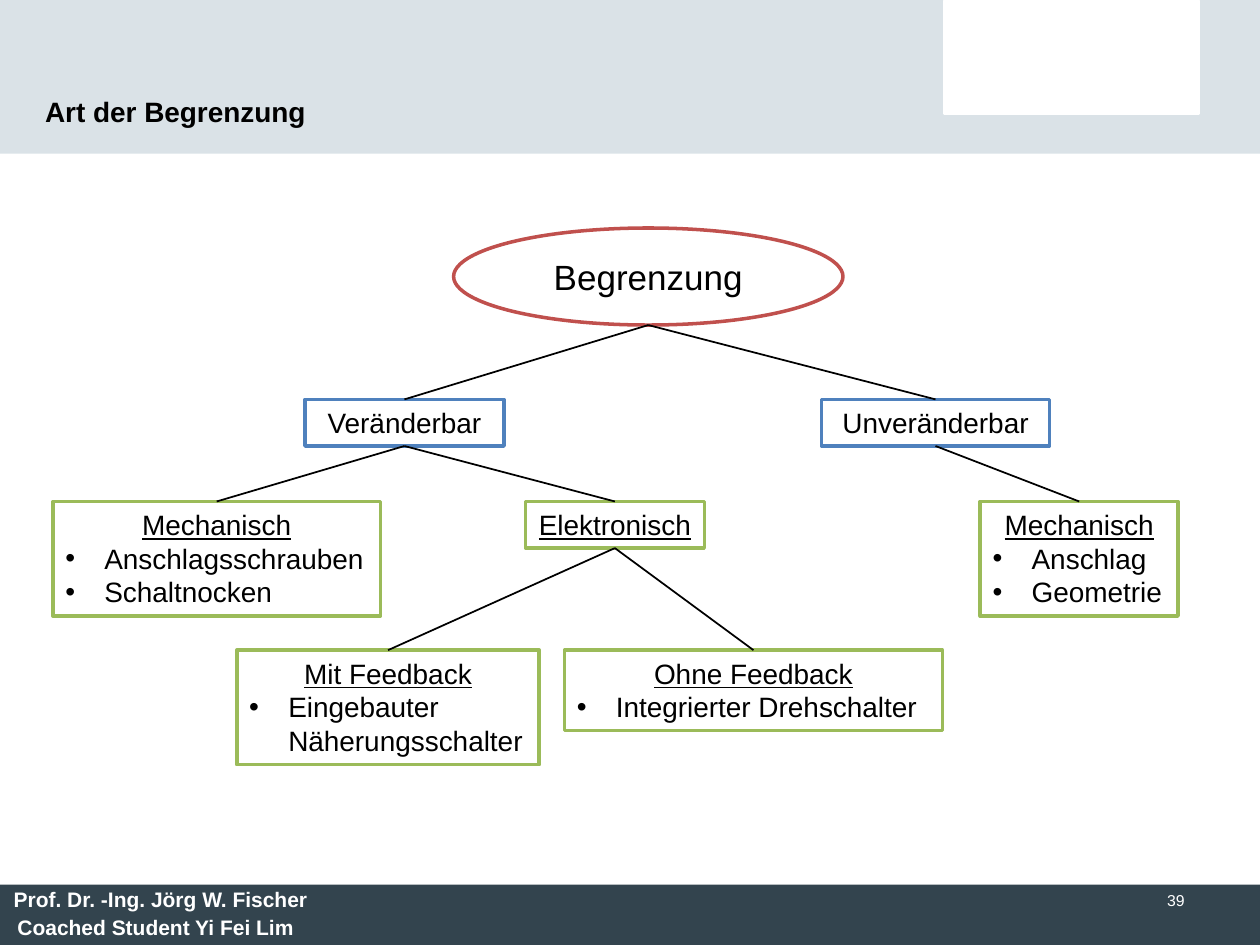
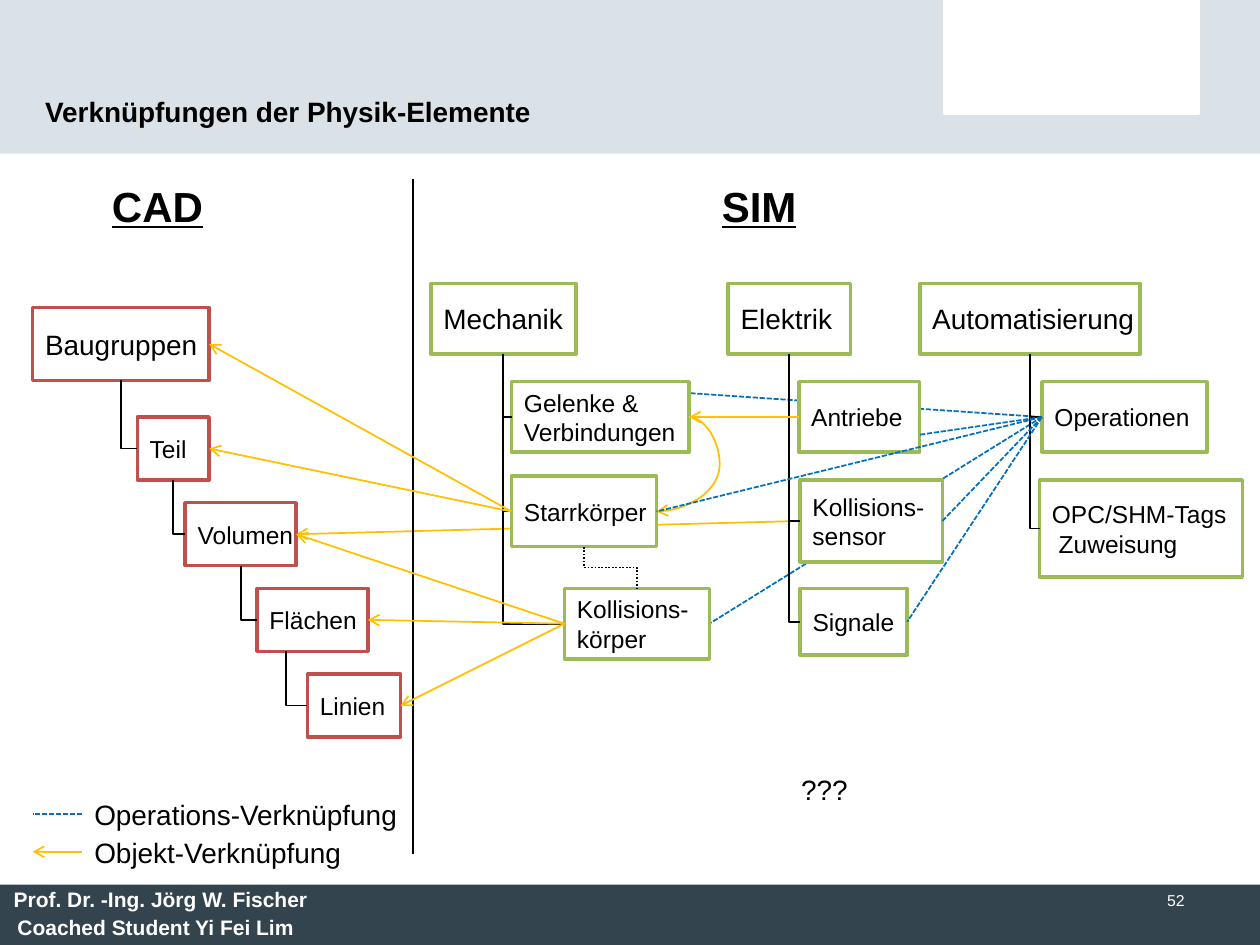
from dataclasses import dataclass

from lxml import etree
from pptx import Presentation
from pptx.dml.color import RGBColor
from pptx.enum import dml, shapes, text
from pptx.oxml import ns
from pptx.util import Inches, Pt

BAND = RGBColor(0xDA, 0xE2, 0xE7)
FOOTER = RGBColor(0x33, 0x44, 0x4E)
WHITE = RGBColor(0xFF, 0xFF, 0xFF)
BLACK = RGBColor(0, 0, 0)
RED = RGBColor(0xC0, 0x50, 0x4D)
GREEN = RGBColor(0x9B, 0xBB, 0x59)
BLUE = RGBColor(0x4F, 0x81, 0xBD)
OPERATION = RGBColor(0x00, 0x70, 0xC0)
OBJECT = RGBColor(0xFF, 0xC0, 0x00)

FONT = "Arial"
TOP, LEFT, BOTTOM, RIGHT = range(4)
DASHED = dml.MSO_LINE.SQUARE_DOT
DOTTED = dml.MSO_LINE.ROUND_DOT
STRAIGHT = shapes.MSO_CONNECTOR.STRAIGHT
RECTANGLE = shapes.MSO_SHAPE.RECTANGLE
OVAL = shapes.MSO_SHAPE.OVAL
CENTER = text.PP_ALIGN.CENTER
MIDDLE = text.MSO_ANCHOR.MIDDLE


@dataclass
class Box:
    left: float
    top: float
    width: float
    height: float

    def inner(self, left, top, width, height):
        return Box(self.left + left, self.top + top, width, height)

    def point(self, x, y):
        return Inches(self.left + x), Inches(self.top + y)

    def lengths(self):
        return [Inches(v) for v in (self.left, self.top, self.width, self.height)]


def set_font(paragraph, size, color=BLACK, bold=False, underline=False):
    font = paragraph.font
    font.name, font.size, font.bold = FONT, Pt(size), bold
    font.underline = underline
    font.color.rgb = color


def add_label(slide, box, words, size=16, color=BLACK, bold=False, underline=False,
              align=text.PP_ALIGN.LEFT, anchor=text.MSO_ANCHOR.TOP, wrap=True):
    frame = slide.shapes.add_textbox(*box.lengths()).text_frame
    frame.word_wrap = wrap
    frame.vertical_anchor = anchor
    paragraph = frame.paragraphs[0]
    paragraph.text = words
    paragraph.alignment = align
    set_font(paragraph, size, color, bold, underline)


def add_block(slide, box, fill, line=None, kind=RECTANGLE):
    shape = slide.shapes.add_shape(kind, *box.lengths())
    shape.shadow.inherit = False
    shape.fill.solid()
    shape.fill.fore_color.rgb = fill
    if line is None:
        shape.line.fill.background()
    else:
        shape.line.color.rgb = line
        shape.line.width = Pt(2)
    return shape


def add_node(slide, box, words, line, size=16, align=text.PP_ALIGN.LEFT,
             underline=False, bullets=(), kind=RECTANGLE, anchor=MIDDLE):
    shape = add_block(slide, box, WHITE, line, kind)
    frame = shape.text_frame
    frame.word_wrap = False
    frame.vertical_anchor = anchor
    paragraph = frame.paragraphs[0]
    paragraph.text = words
    paragraph.alignment = align
    set_font(paragraph, size, underline=underline)
    for bullet in bullets:
        paragraph = frame.add_paragraph()
        paragraph.text = bullet
        paragraph.alignment = text.PP_ALIGN.LEFT
        properties = paragraph._p.get_or_add_pPr()
        properties.set("marL", str(Inches(0.31)))
        properties.set("indent", str(Inches(-0.31)))
        etree.SubElement(properties, ns.qn("a:buFont"), typeface=FONT)
        etree.SubElement(properties, ns.qn("a:buChar"), char="•")
        set_font(paragraph, size)
    return shape


def side(shape, site):
    x = {LEFT: 0, RIGHT: shape.width}.get(site, shape.width // 2)
    y = {TOP: 0, BOTTOM: shape.height}.get(site, shape.height // 2)
    return shape.left + x, shape.top + y


def add_line(slide, start, end, color=BLACK, dash=None, arrow=False, kind=STRAIGHT):
    connector = slide.shapes.add_connector(kind, *start, *end)
    line = connector.line
    line.color.rgb = color
    line.width = Pt(1)
    if dash is not None:
        line.dash_style = dash
    if arrow:
        etree.SubElement(line._get_or_add_ln(), ns.qn("a:tailEnd"), type="arrow")
    etree.SubElement(connector._element.spPr, ns.qn("a:effectLst"))
    return connector


def join(slide, source, source_side, target, target_side, **style):
    connector = add_line(slide, side(source, source_side),
                         side(target, target_side), **style)
    connector.begin_connect(source, source_side)
    connector.end_connect(target, target_side)
    return connector


def link_objects(slide, source, target):
    return join(slide, source, LEFT, target, RIGHT, color=OBJECT, arrow=True)


def link_operation(slide, source, target):
    return join(slide, source, LEFT, target, RIGHT, color=OPERATION, dash=DASHED)


def add_elbow(slide, parent, child, child_side=LEFT, preset="bentConnector2", dash=None):
    start, end = side(parent, BOTTOM), side(child, child_side)
    centred = child_side == TOP or start[0] < end[0]
    if not centred:
        start = parent.left + Inches(0.23), start[1]
    connector = add_line(slide, start, end, dash=dash, kind=shapes.MSO_CONNECTOR.ELBOW)
    if centred:
        connector.begin_connect(parent, BOTTOM)
    connector.end_connect(child, child_side)
    across, down = end[0] - start[0], end[1] - start[1]
    connector.left = (start[0] + end[0] - down) // 2
    connector.top = (start[1] + end[1] - across) // 2
    connector.width, connector.height = down, across
    properties = connector._element.spPr
    frame = properties.find(ns.qn("a:xfrm"))
    frame.set("rot", "16200000")
    frame.set("flipH", "1")
    properties.find(ns.qn("a:prstGeom")).set("prst", preset)


def add_loop(slide, source, target):
    connector = join(slide, source, RIGHT, target, RIGHT, color=OBJECT, arrow=True,
                     kind=shapes.MSO_CONNECTOR.CURVE)
    geometry = connector._element.spPr.find(ns.qn("a:prstGeom"))
    adjustments = geometry.find(ns.qn("a:avLst"))
    if adjustments is None:
        adjustments = etree.SubElement(geometry, ns.qn("a:avLst"))
    etree.SubElement(adjustments, ns.qn("a:gd"), name="adj1", fmla="val -93600")


def draw_header(slide, box, title):
    add_block(slide, box, BAND)
    add_block(slide, box.inner(7.5, 0.01, 2.01, 0.89), WHITE, WHITE)
    add_label(slide, box.inner(0.26, 0.44, 6.07, 0.63), title, bold=True,
              anchor=text.MSO_ANCHOR.BOTTOM)


def draw_footer(slide, box, number):
    add_block(slide, box, FOOTER)
    for left, top, width, words in (
        (0.01, -0.03, 2.68, "Prof. Dr. -Ing. Jörg W. Fischer"),
        (0.04, 0.19, 2.45, "Coached Student Yi Fei Lim"),
    ):
        add_label(slide, box.inner(left, top, width, 0.3), words, 12, WHITE, bold=True)
    add_label(slide, box.inner(7.17, 0, 2.33, 0.48), number, 9, WHITE,
              align=text.PP_ALIGN.RIGHT)


def draw_limit_tree(slide, box):
    root = add_node(slide, box.inner(3.18, 0, 3.09, 0.77), "Begrenzung", RED, 20,
                    CENTER, kind=OVAL)

    def branch(left, top, width, height, words, line=GREEN, bullets=()):
        return add_node(slide, box.inner(left, top, width, height), words, line,
                        align=CENTER, underline=line == GREEN, bullets=bullets,
                        anchor=text.MSO_ANCHOR.TOP)

    variable = branch(2, 1.36, 1.58, 0.37, "Veränderbar", BLUE)
    fixed = branch(6.1, 1.36, 1.81, 0.37, "Unveränderbar", BLUE)
    electronic = branch(3.75, 2.17, 1.42, 0.37, "Elektronisch")
    adjustable = branch(0, 2.17, 2.6, 0.91, "Mechanisch",
                        bullets=("Anschlagsschrauben", "Schaltnocken"))
    rigid = branch(7.36, 2.17, 1.57, 0.91, "Mechanisch",
                   bullets=("Anschlag", "Geometrie"))
    feedback = branch(1.46, 3.35, 2.4, 0.91, "Mit Feedback",
                      bullets=("Eingebauter\vNäherungsschalter",))
    no_feedback = branch(4.06, 3.35, 3, 0.64, "Ohne Feedback",
                         bullets=("Integrierter Drehschalter",))
    for child in (variable, fixed):
        add_line(slide, side(root, BOTTOM), side(child, TOP)).end_connect(child, TOP)
    for parent, child in (
        (variable, adjustable), (variable, electronic), (fixed, rigid),
        (electronic, feedback), (electronic, no_feedback),
    ):
        join(slide, parent, BOTTOM, child, TOP)


def draw_cad(slide, box):
    add_label(slide, box.inner(0.53, 0, 1.01, 0.51), "CAD", 24, bold=True, underline=True)
    nodes = {"Baugruppen": add_node(slide, box.inner(0, 1.06, 1.4, 0.58), "Baugruppen", RED)}
    parent = nodes["Baugruppen"]
    steps = (("Teil", 0.83, 0.57), ("Volumen", 1.21, 0.88),
             ("Flächen", 1.78, 0.88), ("Linien", 2.18, 0.74))
    for row, (words, left, width) in enumerate(steps):
        place = box.inner(left, 1.93 + 0.68 * row, width, 0.5)
        nodes[words] = add_node(slide, place, words, RED, 14)
        add_elbow(slide, parent, nodes[words])
        parent = nodes[words]
    return nodes


def draw_simulation(slide, box):
    add_line(slide, box.point(0, 0.04), box.point(0, 5.4))
    add_label(slide, box.inner(2.35, 0, 1.01, 0.51), "SIM", 24, bold=True, underline=True)
    add_label(slide, box.inner(2.98, 4.7, 0.58, 0.37), "???", wrap=False)
    columns = (
        ("Mechanik", 0.14, 1.15, (
            ("Gelenke &\vVerbindungen", 0.78, 1.65, 1.41, 0.56),
            ("Starrkörper", 0.78, 2.4, 1.15, 0.56),
            ("Kollisions-\vkörper", 1.2, 3.29, 1.15, 0.56))),
        ("Elektrik", 2.5, 0.97, (
            ("Antriebe", 3.06, 1.65, 0.96, 0.56),
            ("Kollisions-\vsensor", 3.07, 2.43, 1.13, 0.65),
            ("Signale", 3.07, 3.29, 0.85, 0.53))),
        ("Automatisierung", 4.02, 1.75, (
            ("Operationen", 4.99, 1.65, 1.31, 0.56),
            ("OPC/SHM-Tags\v Zuweisung", 4.97, 2.43, 1.61, 0.77))),
    )
    nodes = []
    for heading, left, width, children in columns:
        parent = add_node(slide, box.inner(left, 0.87, width, 0.56), heading, GREEN)
        for words, *place in children:
            nodes.append(add_node(slide, box.inner(*place), words, GREEN, 14))
            add_elbow(slide, parent, nodes[-1])
    return nodes


def draw_links(slide, cad, simulation):
    joints, rigid, collider, drives, sensor, signals, operations, _ = simulation
    add_elbow(slide, rigid, collider, TOP, "bentConnector3", DOTTED)
    for source, target in (
        (rigid, cad["Baugruppen"]), (rigid, cad["Teil"]),
        (collider, cad["Volumen"]), (collider, cad["Flächen"]),
        (collider, cad["Linien"]), (drives, joints),
    ):
        link_objects(slide, source, target)
    add_loop(slide, joints, rigid)
    for target in (rigid, sensor, signals):
        link_operation(slide, operations, target)

    hub = side(operations, LEFT)
    ends = [(node.left + node.width, node.top + Inches(drop))
            for node, drop in ((joints, 0.09), (drives, 0.42))]
    to_joints, to_drives = [
        add_line(slide, hub, end, OPERATION, DASHED) for end in ends]
    for connector in (to_joints, to_drives):
        connector.begin_connect(operations, LEFT)
    for connector in (to_joints, link_operation(slide, operations, collider),
                      link_objects(slide, sensor, cad["Volumen"])):
        slide.shapes._spTree.insert(2, connector._element)


def draw_legend(slide, box):
    entries = (("Operations-Verknüpfung", 2.63, OPERATION, DASHED, False),
               ("Objekt-Verknüpfung", 2.18, OBJECT, None, True))
    for row, (words, width, color, dash, arrow) in enumerate(entries):
        top = 0.3 * row
        add_line(slide, box.point(0.39, top + 0.18), box.point(0, top + 0.18),
                 color, dash, arrow)
        add_label(slide, box.inner(0.39, top, width, 0.37), words, wrap=False)


def add_slide(presentation, title, number):
    slide = presentation.slides.add_slide(presentation.slide_layouts[6])
    draw_header(slide, Box(0, 0, 10, 1.22), title)
    draw_footer(slide, Box(0, 7.02, 10, 0.48), number)
    return slide


def main():
    presentation = Presentation()
    presentation.slide_width, presentation.slide_height = Inches(10), Inches(7.5)

    slide = add_slide(presentation, "Art der Begrenzung", "39")
    draw_limit_tree(slide, Box(0.42, 1.81, 8.93, 4.26))

    slide = add_slide(presentation, "Verknüpfungen der Physik-Elemente", "52")
    cad = draw_cad(slide, Box(0.26, 1.38, 3.02, 5.4))
    simulation = draw_simulation(slide, Box(3.28, 1.38, 6.58, 5.4))
    draw_links(slide, cad, simulation)
    draw_legend(slide, Box(0.26, 6.28, 3.02, 0.67))

    presentation.save("out.pptx")


if __name__ == "__main__":
    main()
